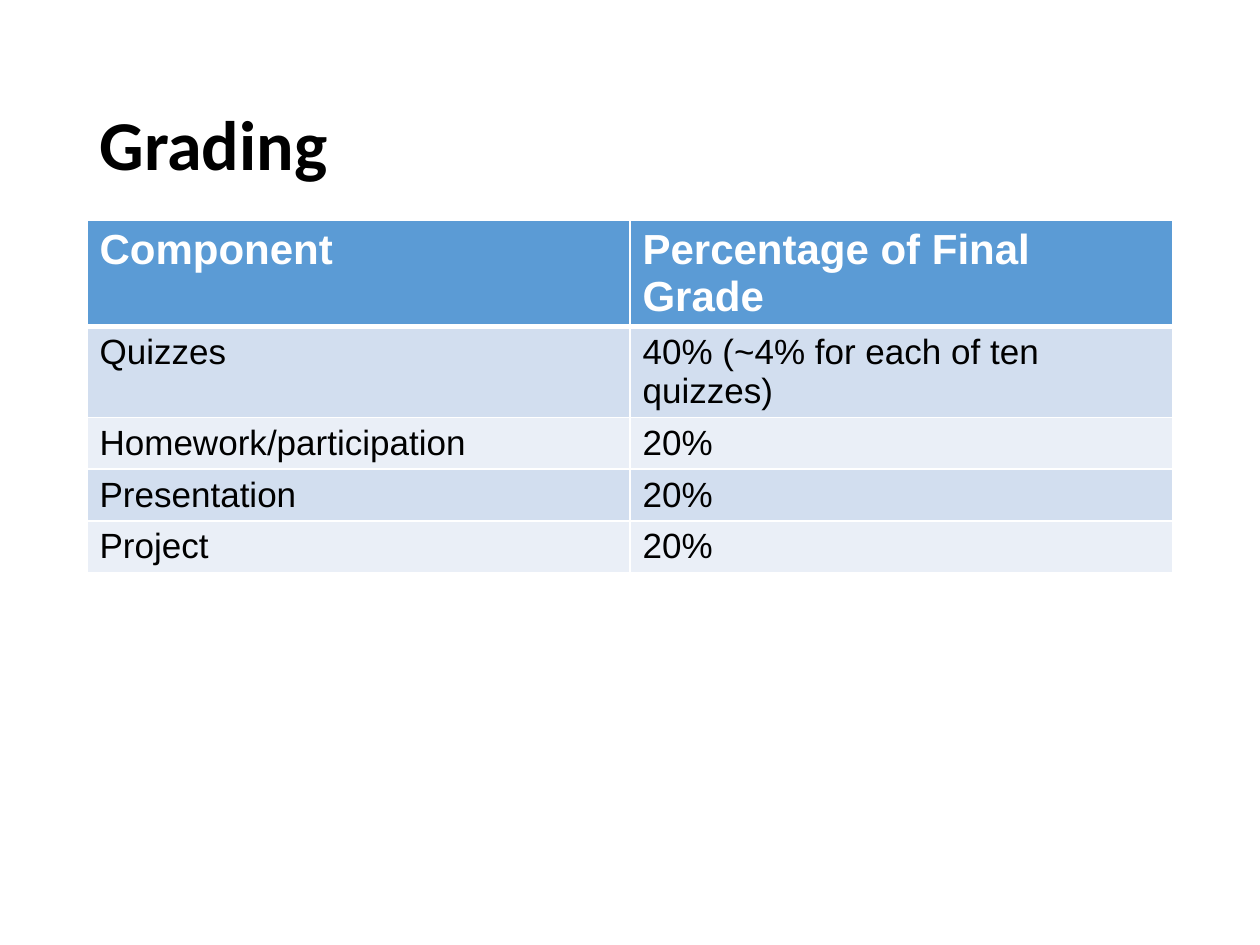
"""Build the grading slide with its table of components."""
from typing import NamedTuple

from pptx import Presentation
from pptx.dml.color import RGBColor as Rgb
from pptx.enum.text import MSO_ANCHOR as Anchor, PP_ALIGN as Align
from pptx.oxml import parse_xml
from pptx.oxml.ns import nsdecls
from pptx.util import Inches, Pt

HUES = {"text": "000000", "line": "FFFFFF", "head": "5B9BD5",
        "odd": "D2DEEF", "even": "EAEFF7"}
LEFT, WIDTH = 0.69, 8.62
ROW = 0.41


class Grade(NamedTuple):
    part: str
    share: str


GRADES = [
    Grade("Component", "Percentage of Final Grade"),
    Grade("Quizzes", "40% (~4% for each of ten quizzes)"),
    Grade("Homework/participation", "20%"),
    Grade("Presentation", "20%"),
    Grade("Project", "20%"),
]


def hue(name: str) -> Rgb:
    return Rgb.from_string(HUES[name])


def style(frame, face: str, size: int, color: str, bold: bool) -> None:
    for par in frame.paragraphs:
        par.alignment = Align.LEFT
        for run in par.runs:
            font = run.font
            font.name, font.size, font.bold = face, Pt(size), bold
            font.color.rgb = hue(color)


def edge(cell, side: str, width: int) -> None:
    cell._tc.get_or_add_tcPr().append(parse_xml(
        f'<a:ln{side} {nsdecls("a")} w="{Pt(width)}"><a:solidFill>'
        f'<a:srgbClr val="{HUES["line"]}"/></a:solidFill></a:ln{side}>'))


def fill_cell(cell, text: str, row: int) -> None:
    head = row == 0
    widths = {"L": 1, "R": 1, "T": 3 if row == 1 else 1, "B": 3 if head else 1}
    for side, width in widths.items():
        edge(cell, side, width)
    cell.fill.solid()
    cell.fill.fore_color.rgb = hue("head" if head else "odd" if row % 2 else "even")
    cell.text_frame.text = text
    style(cell.text_frame, "Arial", 24 if head else 20,
          "line" if head else "text", head)


def add_title(slide, text: str) -> None:
    title = slide.shapes.title
    title.left, title.top = Inches(LEFT), Inches(0.77)
    title.width, title.height = Inches(WIDTH), Inches(0.81)
    frame = title.text_frame
    frame.text = text
    frame.vertical_anchor = Anchor.MIDDLE
    frame.paragraphs[0].line_spacing = 0.9
    style(frame, "Calibri", 40, "text", True)


def add_grades(slide, grades: list[Grade]) -> None:
    count = len(grades)
    table = slide.shapes.add_table(
        count, 2, Inches(LEFT), Inches(1.75),
        Inches(WIDTH), Inches(ROW * count)).table
    for row, grade in enumerate(grades):
        for col, text in enumerate(grade):
            fill_cell(table.cell(row, col), text, row)


def main() -> None:
    deck = Presentation()
    deck.slide_width, deck.slide_height = Inches(10), Inches(7.5)
    slide = deck.slides.add_slide(deck.slide_layouts[5])
    add_title(slide, "Grading")
    add_grades(slide, GRADES)
    deck.save("out.pptx")


main()
